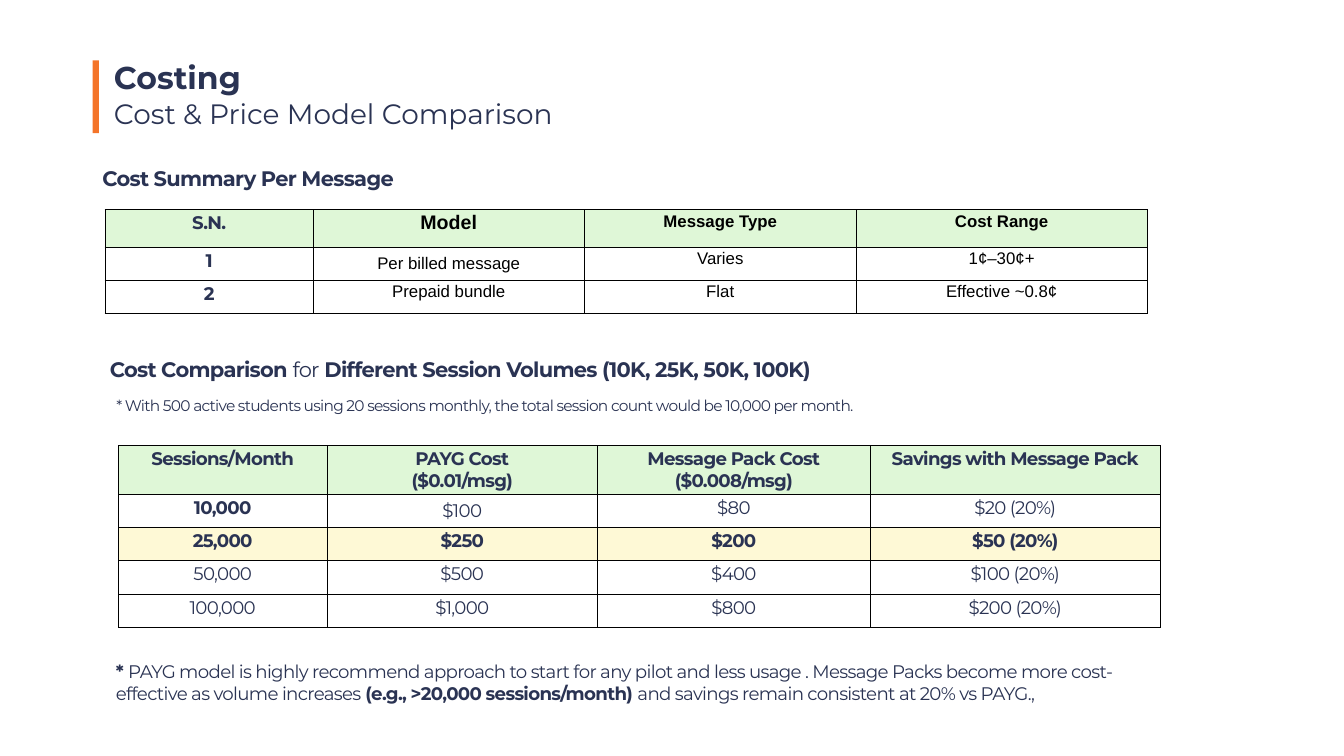
from lxml import etree
from pptx import Presentation
from pptx import util as u
from pptx.dml.color import RGBColor
from pptx.enum import shapes, text
from pptx.oxml.ns import qn

NAVY = RGBColor(0x2A, 0x33, 0x53)
ORANGE = RGBColor(0xF4, 0x74, 0x29)
GREEN = RGBColor(0xDF, 0xF7, 0xD7)
CREAM = RGBColor(0xFE, 0xF9, 0xD6)
BLACK = RGBColor(0, 0, 0)

WIDTH, HEIGHT = 26.67, 15
COLUMN_SHARES = [15.52, 20.13, 20.28, 21.6]  # percent of slide width
ROW_SHARE = 4.4  # percent of slide height
LEFT, CENTER = text.PP_ALIGN.LEFT, text.PP_ALIGN.CENTER
MIDDLE, TOP = text.MSO_ANCHOR.MIDDLE, text.MSO_ANCHOR.TOP

# Text formats
TITLE = dict(size=45, name="Montserrat", color=NAVY, bold=True)
SUBTITLE = dict(TITLE, size=40, bold=False)
HEADING = dict(TITLE, size=30, spacing=-1)
NOTE = dict(HEADING, size=22, bold=False)
BODY = dict(HEADING, size=26)
ARIAL = dict(size=24, name="Arial", color=BLACK, bold=False)
ARIAL_HEAD = dict(ARIAL, bold=True)

SUMMARY_ROWS = [
    ["S.N.", "Model", "Message Type", "Cost Range"],
    ["1", "Per billed message", "Varies", "1¢–30¢+"],
    ["2", "Prepaid bundle", "Flat", "Effective ~0.8¢"],
]
VOLUME_ROWS = [
    ["Sessions/Month", "PAYG Cost\n($0.01/msg)",
     "Message Pack Cost\n($0.008/msg)", "Savings with Message Pack"],
    ["10,000", "$100", "$80", "$20 (20%)"],
    ["25,000", "$250", "$200", "$50 (20%)"],
    ["50,000", "$500", "$400", "$100 (20%)"],
    ["100,000", "$1,000", "$800", "$200 (20%)"],
]


def across(share):
    return u.Inches(WIDTH * share / 100)


def down(share):
    return u.Inches(HEIGHT * share / 100)


def box(left, top, width, height):
    return across(left), down(top), across(width), down(height)


def set_values(target, values):
    for key, value in values.items():
        setattr(target, key, value)


def margins(inches):
    sides = ("left", "right", "top", "bottom")
    return {f"margin_{side}": u.Inches(inches) for side in sides}


def add_run(paragraph, words, style):
    run = paragraph.add_run()
    run.text = words
    set_values(run.font, dict(size=u.Pt(style["size"]), name=style["name"], bold=style["bold"]))
    run.font.color.rgb = style["color"]
    if "spacing" in style:
        run.font._element.set("spc", str(style["spacing"] * 100))


def write(frame, pieces, style, align=LEFT):
    """Write (words, bold) pieces into the frame's first paragraph."""
    paragraph = frame.paragraphs[0]
    paragraph.alignment = align
    for words, bold in pieces:
        add_run(paragraph, words, dict(style, bold=bold))
    return paragraph


def fill_placeholder(holder, area, words, style, anchor):
    set_values(holder, dict(zip(("left", "top", "width", "height"), area)))
    set_values(holder.text_frame, dict(margins(0.06), vertical_anchor=anchor,
                                       auto_size=text.MSO_AUTO_SIZE.NONE, word_wrap=True))
    return write(holder.text_frame, [(words, style["bold"])], style)


def add_text(slide, area, pieces, style, align=LEFT, **frame_values):
    frame = slide.shapes.add_textbox(*area).text_frame
    set_values(frame, dict(dict(word_wrap=True, auto_size=text.MSO_AUTO_SIZE.SHAPE_TO_FIT_TEXT),
                           **frame_values))
    write(frame, pieces, style, align)


def add_borders(cell):
    properties = cell._tc.get_or_add_tcPr()
    for place, side in enumerate(("lnL", "lnR", "lnT", "lnB")):
        line = etree.Element(qn(f"a:{side}"), w=str(u.Pt(1)))
        solid = etree.SubElement(line, qn("a:solidFill"))
        etree.SubElement(solid, qn("a:srgbClr"), val=str(BLACK))
        properties.insert(place, line)


def add_table(slide, left, top, header_share, rows, style_of, fills):
    """Place a bordered table; style_of(row, column) gives each cell's text format."""
    heights = [header_share] + [ROW_SHARE] * (len(rows) - 1)
    area = box(left, top, sum(COLUMN_SHARES), sum(heights))
    table = slide.shapes.add_table(len(rows), len(COLUMN_SHARES), *area).table
    set_values(table, dict(first_row=False, horz_banding=False))
    for column, share in zip(table.columns, COLUMN_SHARES):
        column.width = across(share)
    for r, row in enumerate(rows):
        table.rows[r].height = down(heights[r])
        for c, words in enumerate(row):
            cell = table.cell(r, c)
            if r in fills:
                cell.fill.solid()
                cell.fill.fore_color.rgb = fills[r]
            else:
                cell.fill.background()
            add_borders(cell)
            for i, line in enumerate(words.split("\n")):
                frame = cell.text_frame
                paragraph = frame.add_paragraph() if i else frame.paragraphs[0]
                paragraph.alignment = CENTER
                add_run(paragraph, line, style_of(r, c))
    # The first value of the second column sits mid-cell with thin margins
    set_values(table.cell(1, 1), dict(margins(0.01), vertical_anchor=MIDDLE))


def summary_style(row, column):
    if column == 0:
        return BODY
    if row == 0:
        return dict(ARIAL_HEAD, size=28) if column == 1 else ARIAL_HEAD
    return ARIAL


def volume_style(row, column):
    return dict(BODY, bold=row in (0, 2) or (row, column) == (1, 0))


def add_title_block(slide):
    bar = slide.shapes.add_shape(shapes.MSO_SHAPE.RECTANGLE, *box(6.9, 8, 0.45, 9.6))
    bar.shadow.inherit = False
    bar.fill.solid()
    bar.fill.fore_color.rgb = ORANGE
    bar.line.fill.background()

    fill_placeholder(slide.shapes.title, box(8.25, 7.2, 83.46, 5.93), "Costing", TITLE, MIDDLE)
    subtitle = fill_placeholder(slide.placeholders[1], box(8.25, 12.93, 83.46, 4.87),
                                "Cost & Price Model Comparison", SUBTITLE, TOP)
    set_values(subtitle, dict(line_spacing=0.9, space_before=u.Pt(0)))
    properties = subtitle._p.get_or_add_pPr()
    for key in ("marL", "indent"):
        properties.set(key, "0")
    etree.SubElement(properties, qn("a:buNone"))


def main():
    deck = Presentation()
    set_values(deck, dict(slide_width=u.Inches(WIDTH), slide_height=u.Inches(HEIGHT)))
    slide = deck.slides.add_slide(deck.slide_layouts[1])
    add_title_block(slide)

    # Cost per message
    add_text(slide, box(7.24, 21.6, 79.57, 4.07), [("Cost Summary Per Message", True)], HEADING)
    add_table(slide, 7.8, 27.73, 4.93, SUMMARY_ROWS, summary_style, {0: GREEN})

    # Cost by session volume
    add_text(slide, box(7.8, 46.8, 79.57, 4.07),
             [("Cost Comparison", True), (" for ", False),
              ("Different Session Volumes (10K, 25K, 50K, 100K)", True)], HEADING)
    add_text(slide, box(8.25, 52.07, 55.68, 3.2),
             [("* With 500 active students using 20 sessions monthly, "
               "the total session count would be 10,000 per month.", False)],
             NOTE, CENTER, word_wrap=False, vertical_anchor=MIDDLE, **margins(0.06))
    add_table(slide, 8.81, 58.93, 6.27, VOLUME_ROWS, volume_style, {0: GREEN, 2: CREAM})

    # Recommendation
    add_text(slide, box(8.25, 87.07, 77.54, 6.53),
             [("* ", True),
              ("PAYG model is highly recommend approach to start for any pilot and less usage . "
               "Message Packs become more cost-effective as volume increases ", False),
              ("(e.g., >20,000 sessions/month) ", True),
              ("and savings remain consistent at 20% vs PAYG.,", False)], BODY)
    deck.save("out.pptx")


if __name__ == "__main__":
    main()
